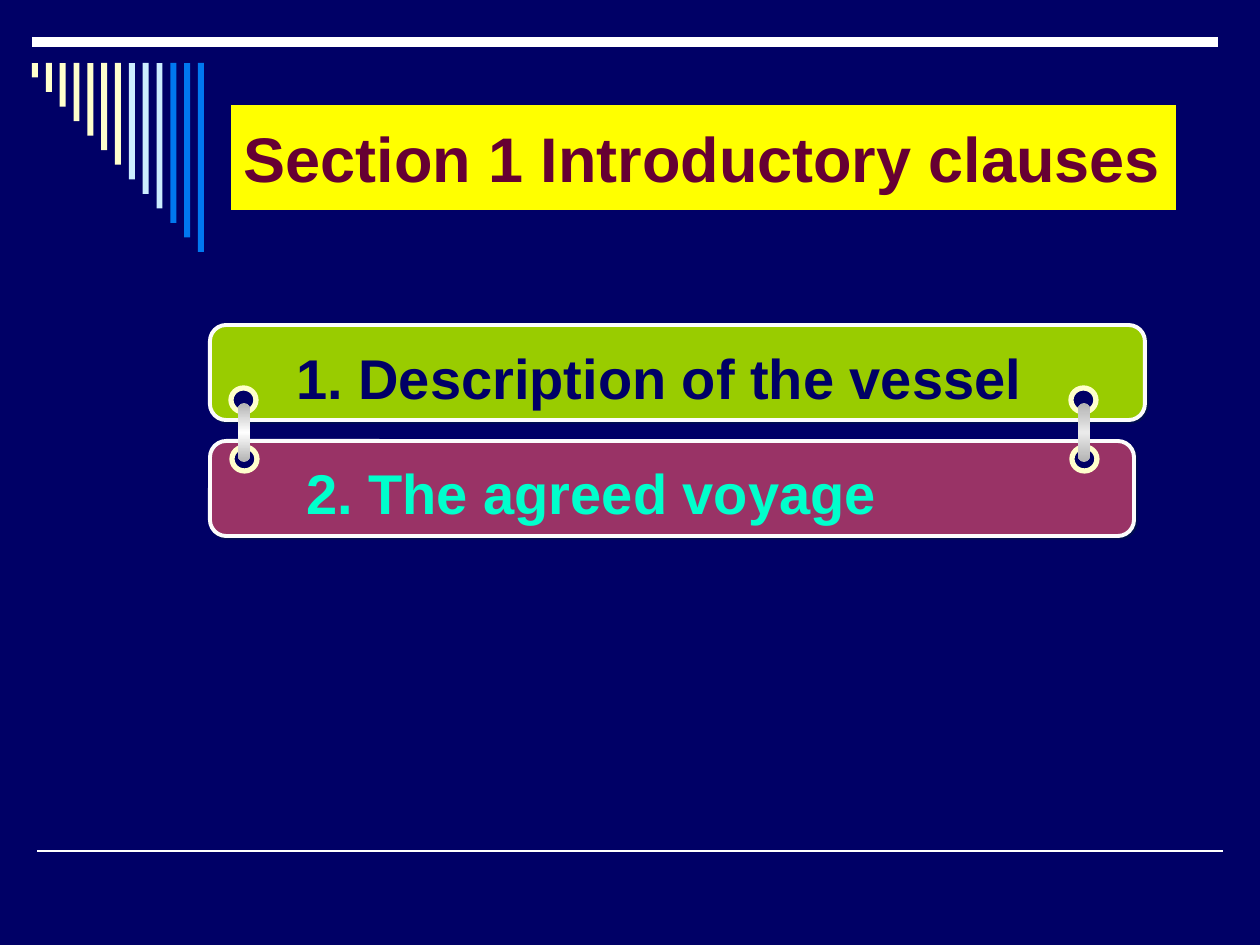
"""Build the section slide with two linked topic panels."""
import copy

import lxml.etree
import pptx
import pptx.dml.color
import pptx.enum.shapes
import pptx.enum.text
import pptx.oxml
import pptx.oxml.ns
import pptx.util

RGBColor = pptx.dml.color.RGBColor
SHAPES = pptx.enum.shapes.MSO_SHAPE
ANCHOR = pptx.enum.text.MSO_ANCHOR
qn = pptx.oxml.ns.qn
PX = 914400 / 126

NAVY = RGBColor(0x00, 0x00, 0x66)
WHITE = RGBColor(0xFF, 0xFF, 0xFF)
IVORY = RGBColor(0xFF, 0xFF, 0xCC)
PALE_BLUE = RGBColor(0xCC, 0xEC, 0xFF)
BLUE = RGBColor(0x00, 0x78, 0xF0)
YELLOW = RGBColor(0xFF, 0xFF, 0x00)
MAROON = RGBColor(0x66, 0x00, 0x33)
PLUM = RGBColor(0x99, 0x33, 0x66)
GREEN = RGBColor(0x99, 0xCC, 0x00)
AQUA = RGBColor(0x00, 0xFF, 0xCC)
OFF_WHITE = RGBColor(0xFC, 0xFC, 0xFC)
SILVER = RGBColor(0xB2, 0xB2, 0xB2)
LIGHT_GRAY = RGBColor(0xEA, 0xEA, 0xEA)
SHADOW = RGBColor(0x00, 0x1D, 0x3A)
BLACK = RGBColor(0x00, 0x00, 0x00)


def add_block(kind, box, fill=None, line=None, width=0):
    shape = slide.shapes.add_shape(kind, *(round(value * PX) for value in box))
    shape.shadow.inherit = False
    if fill is not None:
        shape.fill.solid()
        shape.fill.fore_color.rgb = fill
    if line is None:
        shape.line.fill.background()
    else:
        shape.line.color.rgb = line
        shape.line.width = pptx.util.Pt(width)
    return shape


def add_shadow(effects, color, distance):
    shadow = lxml.etree.SubElement(
        effects, qn("a:outerShdw"), dist=str(pptx.util.Pt(distance)), dir="2700000", algn="ctr", rotWithShape="0")
    tint = lxml.etree.SubElement(shadow, qn("a:srgbClr"), val=str(color))
    lxml.etree.SubElement(tint, qn("a:alpha"), val="50000")


presentation = pptx.Presentation()
presentation.slide_width = round(1260 * PX)
presentation.slide_height = round(945 * PX)
slide = presentation.slides.add_slide(presentation.slide_layouts[5])
slide.background.fill.solid()
slide.background.fill.fore_color.rgb = NAVY

for left, right, top, width in ((37, 1223, 851, 1), (32, 1218, 42, 6)):
    rule = slide.shapes.add_connector(
        pptx.enum.shapes.MSO_CONNECTOR.STRAIGHT, *(round(value * PX) for value in (left, top, right, top)))
    rule.line.color.rgb = WHITE
    rule.line.width = pptx.util.Pt(width)
    lxml.etree.SubElement(rule._element.spPr, qn("a:effectLst"))

bar_colors = [IVORY] * 7 + [PALE_BLUE] * 3 + [BLUE] * 3
for index, color in enumerate(bar_colors):
    add_block(SHAPES.RECTANGLE, (32 + 166 * index / 12, 63, 6, 189 * (index + 1) / 13), color)

title = slide.shapes.title
title_box = {"left": 231, "top": 105, "width": 945, "height": 105}
for name, value in title_box.items():
    setattr(title, name, round(value * PX))
title.fill.solid()
title.fill.fore_color.rgb = YELLOW
title.text_frame.auto_size = pptx.enum.text.MSO_AUTO_SIZE.NONE
title.text_frame.vertical_anchor = ANCHOR.MIDDLE
title.text_frame.text = "Section 1 Introductory clauses"
paragraph = title.text_frame.paragraphs[0]
paragraph.alignment = pptx.enum.text.PP_ALIGN.LEFT
title_format = {"name": "Arial", "size": pptx.util.Pt(36), "bold": True}
for name, value in title_format.items():
    setattr(paragraph.runs[0].font, name, value)
paragraph.runs[0].font.color.rgb = MAROON

for top, width, color in ((441, 924, PLUM), (325, 935, GREEN)):
    panel = add_block(SHAPES.ROUNDED_RECTANGLE, (210, top, width, 95), color, OFF_WHITE, 2.25)
    panel.adjustments[0] = 0.17
    add_shadow(panel._element.spPr.find(qn("a:effectLst")), SHADOW, 1.4)

for left, shine in ((1071, LIGHT_GRAY), (231, WHITE)):
    for offset, top in ((0, 388), (1, 447)):
        add_block(SHAPES.OVAL, (left + offset, top, 25, 24), NAVY, IVORY, 3)
    link = add_block(SHAPES.ROUNDED_RECTANGLE, (left + 7, 403, 12, 59))
    link.adjustments[0] = 0.5
    link.fill.gradient()
    link.fill.gradient_angle = 90
    stop_list = link._element.spPr.find(qn("a:gradFill")).find(qn("a:gsLst"))
    stop_list.append(copy.deepcopy(stop_list[-1]))
    for stop, position, color in zip(link.fill.gradient_stops, (0, 0.5, 1), (SILVER, shine, SILVER)):
        stop.position = position
        stop.color.rgb = color

topic_format = {"name": "Arial", "size": pptx.util.Pt(32), "bold": True}
topics = (
    ("1. Description of the vessel", (284, 336, 787, 81), NAVY),
    ("2. The agreed voyage", (294, 451, 777, 81), AQUA),
)
for text, box, color in topics:
    topic = slide.shapes.add_textbox(*(round(value * PX) for value in box))
    topic.text_frame.word_wrap = True
    topic.text_frame.vertical_anchor = ANCHOR.BOTTOM
    paragraph = topic.text_frame.paragraphs[0]
    indent = round(63 * PX)
    properties = paragraph._p.get_or_add_pPr()
    properties.set("marL", str(indent))
    properties.set("indent", str(-indent))
    run = paragraph.add_run()
    run.text = text
    for name, value in topic_format.items():
        setattr(run.font, name, value)
    run.font.color.rgb = color
    effects = pptx.oxml.parse_xml(f"<a:effectLst {pptx.oxml.ns.nsdecls('a')}/>")
    run._r.rPr.find(qn("a:solidFill")).addnext(effects)
    add_shadow(effects, BLACK, 2)

presentation.save("out.pptx")
